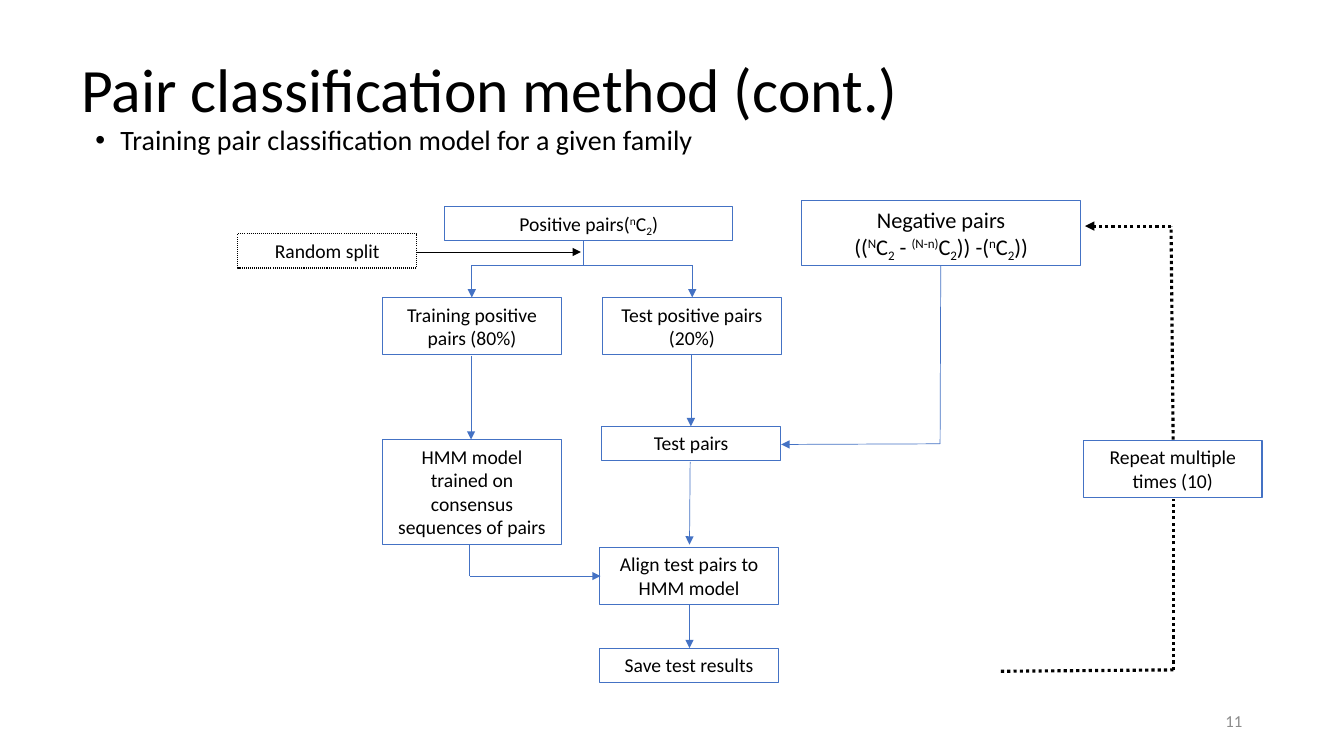
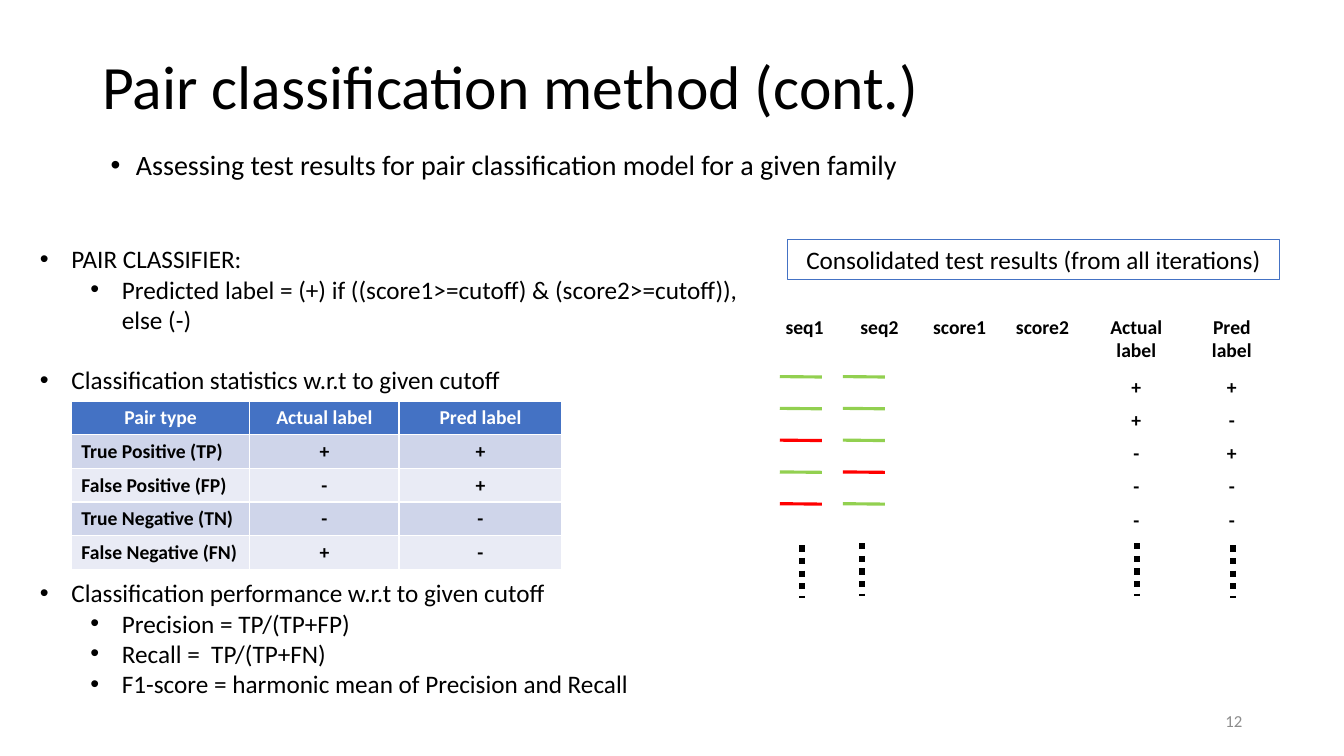
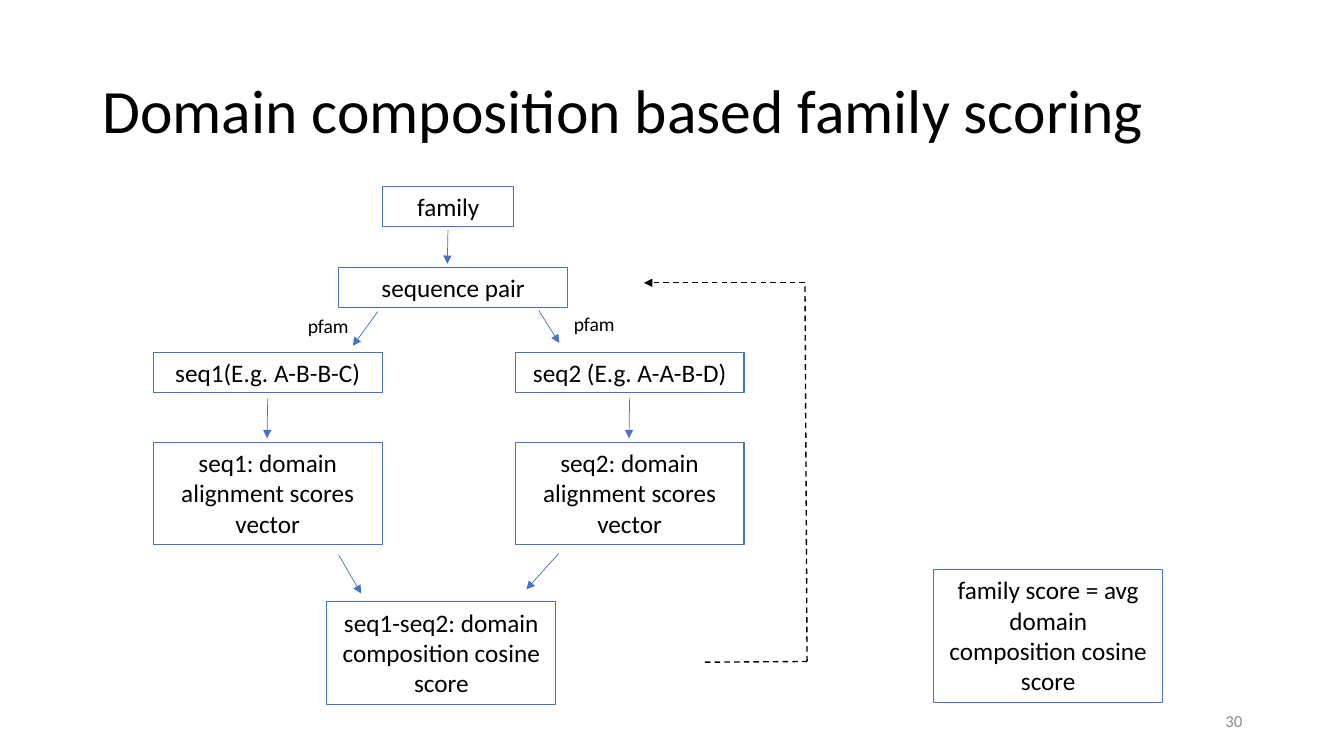
from lxml import etree
from pptx import Presentation
from pptx.dml.color import RGBColor
from pptx.enum.dml import MSO_LINE
from pptx.enum.shapes import MSO_CONNECTOR, MSO_SHAPE
from pptx.enum.text import MSO_ANCHOR, PP_ALIGN
from pptx.oxml.ns import qn
from pptx.util import Pt

RECTANGLE = MSO_SHAPE.RECTANGLE
STRAIGHT = MSO_CONNECTOR.STRAIGHT
LEFT, CENTER, RIGHT = PP_ALIGN.LEFT, PP_ALIGN.CENTER, PP_ALIGN.RIGHT
TOP, MIDDLE = MSO_ANCHOR.TOP, MSO_ANCHOR.MIDDLE
DOTTED, DASHED = MSO_LINE.ROUND_DOT, MSO_LINE.DASH

BLACK, WHITE, BLUE, GRAY = "000000", "FFFFFF", "4472C4", "8C8C8C"
GREEN, RED = "92D050", "FF0000"
BANDS = ("CFD5EA", "E9EBF5")
BASELINES = {"^": "30000", "_": "-25000"}


def color(value):
    return RGBColor.from_string(value)


class Deck:
    font = "Calibri"

    def __init__(self):
        self.deck = Presentation()
        self.deck.slide_width, self.deck.slide_height = Pt(960), Pt(540)
        self.page = None

    def new_page(self, title, title_area, number):
        self.page = self.deck.slides.add_slide(self.deck.slide_layouts[6])
        self.text(title_area, [title], size=44, anchor=MIDDLE, spacing=0.9)
        self.text((678.5, 500.5, 216, 28.5), [number], size=12, tint=GRAY,
                  align=RIGHT, anchor=MIDDLE)

    def add_spans(self, para, text, size, tint=BLACK, bold=False):
        """Fill a paragraph; pieces split by | may start with ^ or _."""
        for piece in text.split("|"):
            span = para.add_run()
            span.text = piece.lstrip("^_")
            values = {"name": self.font, "size": Pt(size), "bold": bold}
            for name, value in values.items():
                setattr(span.font, name, value)
            span.font.color.rgb = color(tint)
            if piece[0] in BASELINES:
                span._r.get_or_add_rPr().set("baseline", BASELINES[piece[0]])

    def bullet(self, para, left, hang):
        props = para._p.get_or_add_pPr()
        props.set("marL", str(Pt(left)))
        props.set("indent", str(-Pt(hang)))
        etree.SubElement(props, qn("a:buFont"), typeface="Arial")
        etree.SubElement(props, qn("a:buChar"), char="•")

    def fill_frame(self, frame, lines, size, tint=BLACK, align=LEFT,
                   anchor=TOP, spacing=None, hang=0):
        """Each line is a text, or (text, left indent, space before)."""
        frame.word_wrap, frame.vertical_anchor = True, anchor
        for index, line in enumerate(lines):
            para = frame.add_paragraph() if index else frame.paragraphs[0]
            text, left, before = (line, hang, 0) if isinstance(line, str) else line
            if hang:
                self.bullet(para, left, hang)
            values = {"alignment": align, "line_spacing": spacing,
                      "space_before": Pt(before)}
            for name, value in values.items():
                setattr(para, name, value)
            self.add_spans(para, text, size, tint)

    def text(self, area, lines, **style):
        box = self.page.shapes.add_textbox(*map(Pt, area))
        self.fill_frame(box.text_frame, lines, **style)

    def box(self, area, *lines, size=14, edge=BLUE, dash=None):
        box = self.page.shapes.add_shape(RECTANGLE, *map(Pt, area))
        box.shadow.inherit = False
        box.fill.background()
        self.stroke(box.line, edge, 0.75, dash)
        self.fill_frame(box.text_frame, lines, size=size, align=CENTER)

    def stroke(self, line, tint, width, dash):
        line.color.rgb = color(tint)
        line.width = Pt(width)
        if dash:
            line.dash_style = dash

    def route(self, *points, tint=BLUE, width=0.5, dash=None, arrow=True):
        """Join the points with straight lines, arrowhead at the last one."""
        for start, end in zip(points, points[1:]):
            line = self.page.shapes.add_connector(STRAIGHT, *map(Pt, start + end))
            self.stroke(line.line, tint, width, dash)
            if arrow and end == points[-1]:
                etree.SubElement(line.line._get_or_add_ln(), qn("a:tailEnd"),
                                 type="triangle")
            etree.SubElement(line._element.spPr, qn("a:effectLst"))

    def table(self, corner, widths, heights, rows, fills, header=WHITE,
              first=CENTER, margin=3.6, size=14):
        area = (*corner, sum(widths), sum(heights))
        table = self.page.shapes.add_table(
            len(rows), len(widths), *map(Pt, area)).table
        table.horz_banding = False
        for column, width in zip(table.columns, widths):
            column.width = Pt(width)
        for r, (row, height) in enumerate(zip(rows, heights)):
            table.rows[r].height = Pt(height)
            for c, text in enumerate(row):
                cell = table.cell(r, c)
                cell.margin_top = cell.margin_bottom = Pt(margin)
                cell.fill.solid()
                cell.fill.fore_color.rgb = color(fills[r])
                para = cell.text_frame.paragraphs[0]
                para.alignment = CENTER if r == 0 or c else first
                if text:
                    self.add_spans(para, text, size, BLACK if r else header, True)
                else:
                    etree.SubElement(para._p, qn("a:endParaRPr"),
                                     sz=str(size * 100))


def training_page(deck):
    deck.new_page("Pair classification method (cont.)", (51, 23, 860, 86), "11")
    deck.text((61, 87, 795, 32),
              ["Training pair classification model for a given family"],
              size=20, spacing=0.9, hang=18)

    # Steps
    deck.box((317.5, 147.5, 206, 24.5), "Positive pairs(|^n|C|_2|)")
    deck.box((572.5, 143.5, 199.5, 46), "Negative pairs",
             "((|^N|C|_2| - |^(N-n)|C|_2|)) -(|^n|C|_2|))", size=16)
    one_line, two_lines, four_lines = 24.5, 41, 75
    for left, top, height, label in (
            (273.5, 212.5, two_lines, "Training positive pairs (80%)"),
            (430.5, 212.5, two_lines, "Test positive pairs (20%)"),
            (273.5, 314, four_lines,
             "HMM model trained on consensus sequences of pairs"),
            (430, 304.5, one_line, "Test pairs"),
            (428.5, 391, two_lines, "Align test pairs to HMM model"),
            (428.5, 463, one_line, "Save test results"),
            (774, 314.5, two_lines, "Repeat multiple times (10)")):
        deck.box((left, top, 127.5, height), label)
    deck.box((170, 167, 127.5, one_line), "Random split", edge=BLACK, dash=DOTTED)

    # Flow
    deck.route((416.5, 172.5), (416.5, 189.5), arrow=False)
    for points in (
            ((337, 189.5), (337, 212.5)),
            ((337, 189.5), (494.5, 189.5), (494.5, 212.5)),
            ((336.5, 254), (336.5, 314)),
            ((493.5, 253), (493.5, 304.5)),
            ((493, 330), (492.5, 389)),
            ((492.5, 432), (492.5, 463)),
            ((335.5, 389), (335.5, 411.5), (429, 411.5)),
            ((672, 189.5), (671.5, 317), (558, 317.5))):
        deck.route(*points)
    deck.route((298, 180), (415, 180), tint=BLACK)

    # Repeat loop
    loop = {"tint": BLACK, "width": 2.25, "dash": DOTTED}
    deck.route((715, 479.5), (838.5, 478.5), (838.5, 356.5), arrow=False, **loop)
    deck.route((838, 314), (836.5, 161.5), (775, 161.5), **loop)


def assessment_page(deck):
    deck.new_page("Pair classification method (cont.)", (66, 11.5, 828, 104.5), "12")
    deck.text((72, 104.5, 877.5, 31),
              ["Assessing test results for pair classification model "
               "for a given family"],
              size=20, spacing=0.9, hang=18)

    # Classifier, statistics and performance
    inner = 58.5
    deck.text((21.5, 170.5, 525.5, 117), [
        "PAIR CLASSIFIER:",
        ("Predicted label = (+) if ((score1>=cutoff) & (score2>=cutoff)), else (-)",
         inner, 0),
        ("Classification statistics w.r.t to given cutoff", 22.5, 21.5),
    ], size=18, hang=22.5)
    deck.text((21.5, 409, 525.5, 95), [
        "Classification performance w.r.t to given cutoff",
        ("Precision = TP/(TP+FP)", inner, 0),
        ("Recall =  TP/(TP+FN)", inner, 0),
        ("F1-score = harmonic mean of Precision and Recall", inner, 0),
    ], size=18, hang=22.5)
    deck.table((51, 286.5), (127.5, 106.5, 116.5), [24] * 5, [
        ("Pair type", "Actual label", "Pred label"),
        ("True Positive (TP)", "+", "+"),
        ("False Positive (FP)", "-", "+"),
        ("True Negative (TN)", "-", "-"),
        ("False Negative (FN)", "+", "-"),
    ], (BLUE,) + BANDS * 2, first=LEFT)

    # Consolidated results
    deck.box((562.5, 171, 351.5, 29),
             "Consolidated test results (from all iterations)", size=18)
    labels = ("++", "+-", "-+", "--", "--")
    deck.table((548, 222), (53.5, 53.5, 61, 57.5, 76.5, 60), [43] + [23.75] * 5,
               [("seq1", "seq2", "score1", "score2", "Actual label", "Pred label")]
               + [("",) * 4 + tuple(pair) for pair in labels],
               [WHITE] * 6, header=BLACK, margin=3.3)
    pairs = ((GREEN, GREEN), (GREEN, GREEN), (RED, GREEN), (GREEN, RED), (RED, GREEN))
    for row, pair in enumerate(pairs):
        top = 269 + 22.7 * row
        for left, tint in zip((557, 602), pair):
            deck.route((left, top), (left + 30, top + 0.3), tint=tint,
                       width=2.25, arrow=False)
    for left, top in ((573, 389.5), (615.5, 388), (812, 388), (880.5, 389.5)):
        deck.route((left, top), (left, top + 37.5), tint=BLACK, width=4.5,
                   dash=DOTTED, arrow=False)


def scoring_page(deck):
    deck.new_page("Domain composition based family scoring",
                  (66, 29, 828, 104.5), "30")

    # Steps
    width, one_line, three_lines = 163.5, 29, 73
    deck.box((273.5, 133, 93.5, one_line), "family", size=18)
    deck.box((242, 191, width, one_line), "sequence pair", size=18)
    for left, name, example in ((109.5, "seq1", "seq1(E.g. A-B-B-C)"),
                                (368, "seq2", "seq2 (E.g. A-A-B-D)")):
        deck.box((left, 251.5, width, one_line), example, size=18)
        deck.box((left, 316, width, three_lines),
                 f"{name}: domain alignment scores vector", size=18)
        middle = left + width / 2
        deck.route((middle, 284.5), (middle - 0.5, 313))
    deck.box((233.5, 430, width, three_lines),
             "seq1-seq2: domain composition cosine score", size=18)
    deck.box((667, 407, width, 94.5),
             "family score = avg domain composition cosine score", size=18)

    # Flow
    for points in (((320, 164), (319.5, 188.5)),
                   ((270, 222.5), (252, 247)),
                   ((385, 222), (399.5, 245)),
                   ((399, 395.5), (376, 421)),
                   ((242, 396.5), (258, 424))):
        deck.route(*points)
    deck.route((503.5, 473), (576.5, 472.5), (575, 202), (460, 202),
               tint=BLACK, width=1, dash=DASHED)
    for left, top in ((400, 219.5), (210, 220.5)):
        deck.text((left, top, 49, 24.5), ["pfam"], size=14, align=CENTER)


def main():
    deck = Deck()
    training_page(deck)
    assessment_page(deck)
    scoring_page(deck)
    deck.deck.save("out.pptx")


if __name__ == "__main__":
    main()
